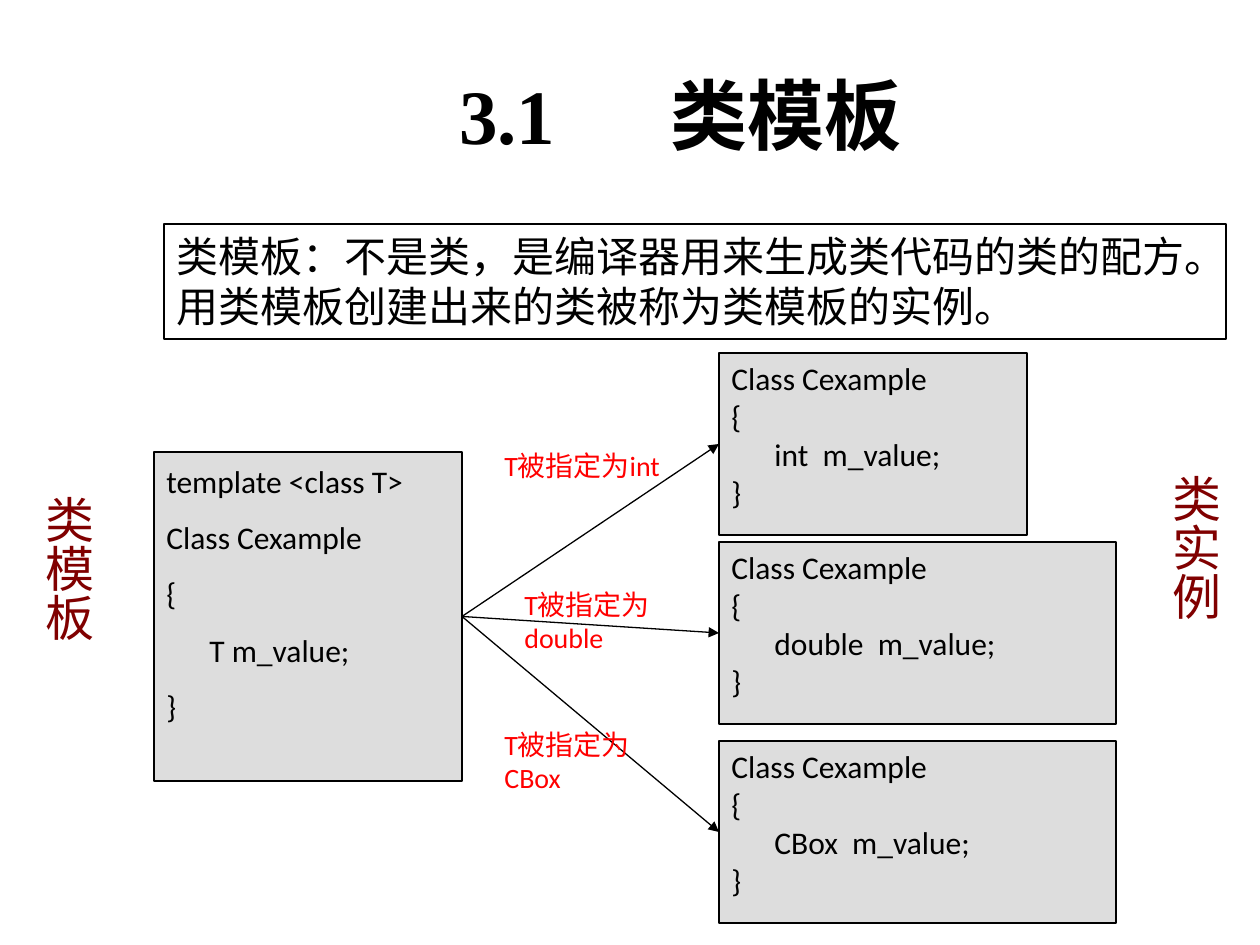
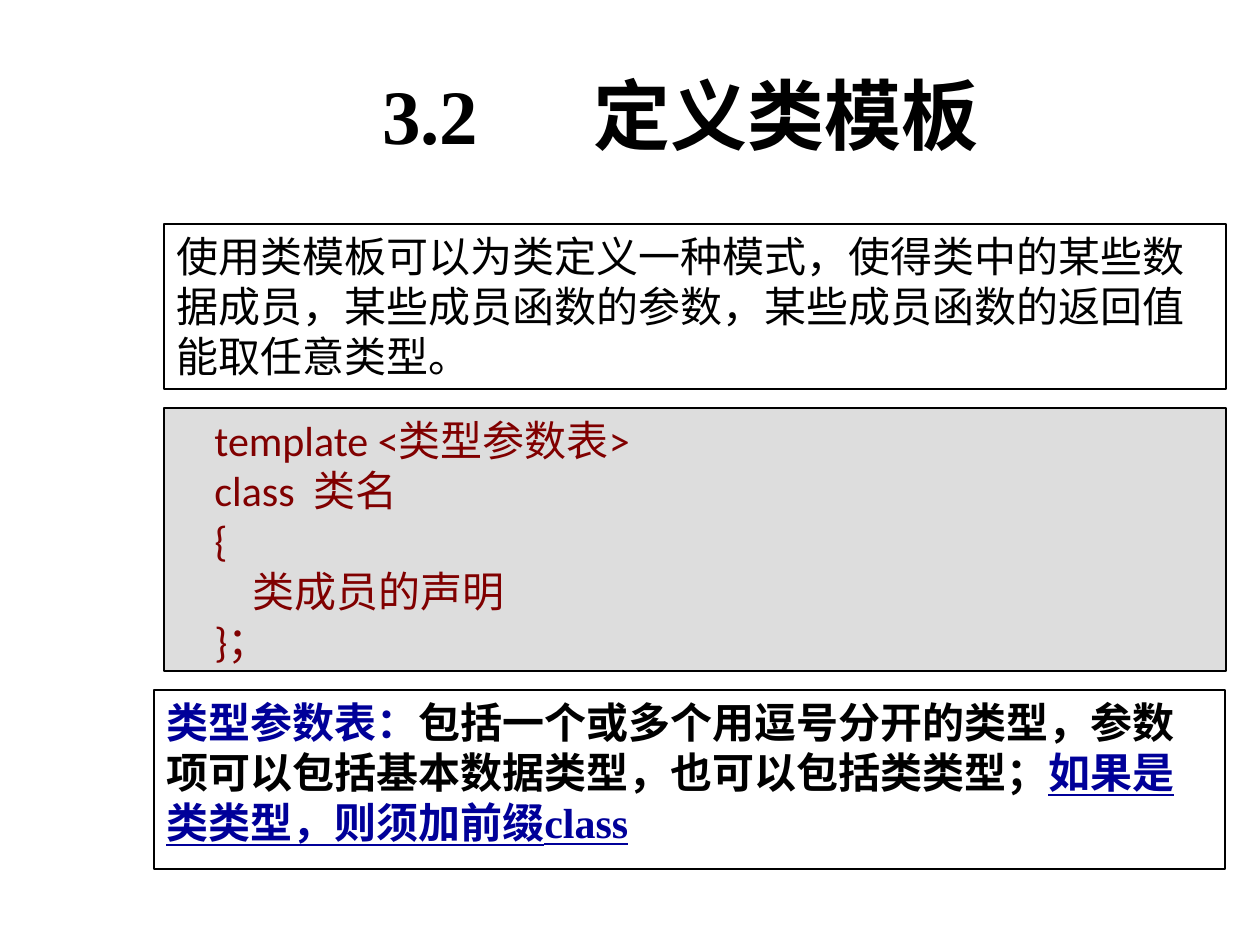
from pptx import Presentation
from pptx.dml.color import RGBColor
from pptx.enum.shapes import MSO_CONNECTOR, MSO_SHAPE
from pptx.enum.text import MSO_ANCHOR, PP_ALIGN
from pptx.oxml.ns import qn
from pptx.util import Emu, Pt
from lxml.etree import SubElement

BLACK = RGBColor(0x00, 0x00, 0x00)
WHITE = RGBColor(0xFF, 0xFF, 0xFF)
GREY = RGBColor(0xDD, 0xDD, 0xDD)
RED = RGBColor(0xFF, 0x00, 0x00)
MAROON = RGBColor(0x80, 0x00, 0x00)
NAVY = RGBColor(0x00, 0x00, 0x99)

SANS, SERIF = "Calibri", "Times New Roman"
PX_PER_INCH = 126
EMU_PER_PX = 914400 / PX_PER_INCH

TITLE_BOX = (154, 35, 1071, 158)
LEAD_LEFT, LEAD_TOP, LEAD_WIDTH = 164, 224, 1062
LEFT, RIGHT = 1, 3


def px(n):
    return Emu(round(n * EMU_PER_PX))


def style_run(r, size, color, name=SANS, bold=False, underline=False):
    font = r.font
    font.size, font.name, font.bold = Pt(size), name, bold
    font.color.rgb = color
    if underline:
        font.underline = True


def write(p, text, size, color, gap=0, **style):
    """Write text; each "|" becomes one space widened by gap points."""
    for i, part in enumerate(text.split("|")):
        if i:
            r = p.add_run()
            r.text = " "
            style_run(r, size, color, **style)
            r._r.get_or_add_rPr().set("spc", str(round(gap * 100)))
        r = p.add_run()
        r.text = part
        style_run(r, size, color, **style)


def add_text(slide, box, text, size, color, **style):
    tf = slide.shapes.add_textbox(*map(px, box)).text_frame
    tf.word_wrap = True
    write(tf.paragraphs[0], text, size, color, **style)
    return tf


def add_frame(slide, box, fill=None):
    sp = slide.shapes.add_shape(MSO_SHAPE.RECTANGLE, *map(px, box))
    sp.shadow.inherit = False
    if fill is None:
        sp.fill.background()
    else:
        sp.fill.solid()
        sp.fill.fore_color.rgb = fill
    sp.line.color.rgb = BLACK
    sp.line.width = Pt(0.75)
    tf = sp.text_frame
    tf.word_wrap = True
    tf.vertical_anchor = MSO_ANCHOR.TOP
    tf.paragraphs[0].alignment = PP_ALIGN.LEFT
    return sp


def add_title(slide, text):
    tf = add_text(slide, TITLE_BOX, text, 44, BLACK, gap=55, name=SERIF, bold=True)
    tf.vertical_anchor = MSO_ANCHOR.MIDDLE
    tf.paragraphs[0].alignment = PP_ALIGN.CENTER


def add_lead(slide, text, height):
    sp = add_frame(slide, (LEAD_LEFT, LEAD_TOP, LEAD_WIDTH, height))
    write(sp.text_frame.paragraphs[0], text, 24, BLACK)


def add_code(slide, box, lines, size, color, spacing=None, before=0):
    """Draw a grey code box; lines holds pairs of (indent in px, text)."""
    sp = add_frame(slide, box, GREY)
    tf = sp.text_frame
    for i, (indent, text) in enumerate(lines):
        p = tf.add_paragraph() if i else tf.paragraphs[0]
        p.alignment = PP_ALIGN.LEFT
        pPr = p._p.get_or_add_pPr()
        pPr.set("marL", str(px(indent)))
        pPr.set("indent", "0")
        if spacing:
            p.line_spacing = spacing
        if i and before:
            p.space_before = Pt(before)
        write(p, text, size, color, gap=size * 0.226)
    return sp


def class_lines(member):
    return [(0, "Class Cexample"), (0, "{"), (43, member), (0, "}")]


def add_arrow(slide, source, target):
    c = slide.shapes.add_connector(MSO_CONNECTOR.STRAIGHT, 0, 0, 0, 0)
    c.begin_connect(source, RIGHT)
    c.end_connect(target, LEFT)
    c.line.color.rgb = BLACK
    c.line.width = Pt(0.75)
    SubElement(c.line._get_or_add_ln(), qn("a:tailEnd"), type="triangle")
    SubElement(c._element.spPr, qn("a:effectLst"))


def add_side_caption(slide, left, top, text):
    tf = add_text(slide, (left, top, 84, 268), text, 28, MAROON)
    tf._txBody.bodyPr.set("vert", "eaVert")


def add_instantiation(slide, box):
    """Draw the template, its three instances, and the labelled arrows."""
    x, y, w, h = box
    template = add_code(
        slide, (x, y + 99, 308, 329),
        [(0, "template <class T>")] + class_lines("T m_value;"),
        18, BLACK, spacing=1.1, before=8.4)
    # type, instance top and width, label left and top
    rows = [("int", 0, 308, 338, 89),
            ("double", 189, 397, 358, 228),
            ("CBox", 388, 397, 338, 368)]
    instances = [
        add_code(slide, (x + 565, y + top, width, 182),
                 class_lines(f"{kind}|m_value;"), 18, BLACK)
        for kind, top, width, _, _ in rows]
    for instance in instances:
        add_arrow(slide, template, instance)
    for kind, _, _, left, top in rows:
        add_text(slide, (x + left, y + top, 198, 80), f"T被指定为{kind}", 16, RED)
    add_side_caption(slide, x - 134, y + 130, "类模板")
    add_side_caption(slide, x + w - 84, y + 109, "类实例")


def add_parameter_note(slide, box):
    p = add_frame(slide, box, WHITE).text_frame.paragraphs[0]
    parts = [
        ("类型参数表：", NAVY, False),
        ("包括一个或多个用逗号分开的类型，参数项可以包括基本数据类型，也可以包括类类型；",
         BLACK, False),
        ("如果是类类型，则须加前缀class", NAVY, True)]
    for text, color, underline in parts:
        write(p, text, 24, color, name=SERIF, bold=True, underline=underline)


def build_template_slide(slide):
    add_title(slide, "3.1|类模板 ")
    add_lead(slide, "类模板：不是类，是编译器用来生成类代码的类的配方。"
                    "用类模板创建出来的类被称为类模板的实例。", 115)
    add_instantiation(slide, (154, 353, 1077, 570))


def build_definition_slide(slide):
    add_title(slide, "3.2|定义类模板 ")
    add_lead(slide, "使用类模板可以为类定义一种模式，使得类中的某些数据成员，"
                    "某些成员函数的参数，某些成员函数的返回值能取任意类型。", 165)
    add_code(slide, (LEAD_LEFT, 408, LEAD_WIDTH, 263),
             [(38, "template <类型参数表>"), (38, "class|类名"), (38, "{"),
              (76, "类成员的声明"), (38, "}；")], 24, MAROON)
    add_parameter_note(slide, (154, 690, 1071, 179))


def main():
    prs = Presentation()
    prs.slide_width, prs.slide_height = px(1260), px(945)
    blank = prs.slide_layouts[6]
    for build in (build_template_slide, build_definition_slide):
        build(prs.slides.add_slide(blank))
    prs.save("out.pptx")


if __name__ == "__main__":
    main()
